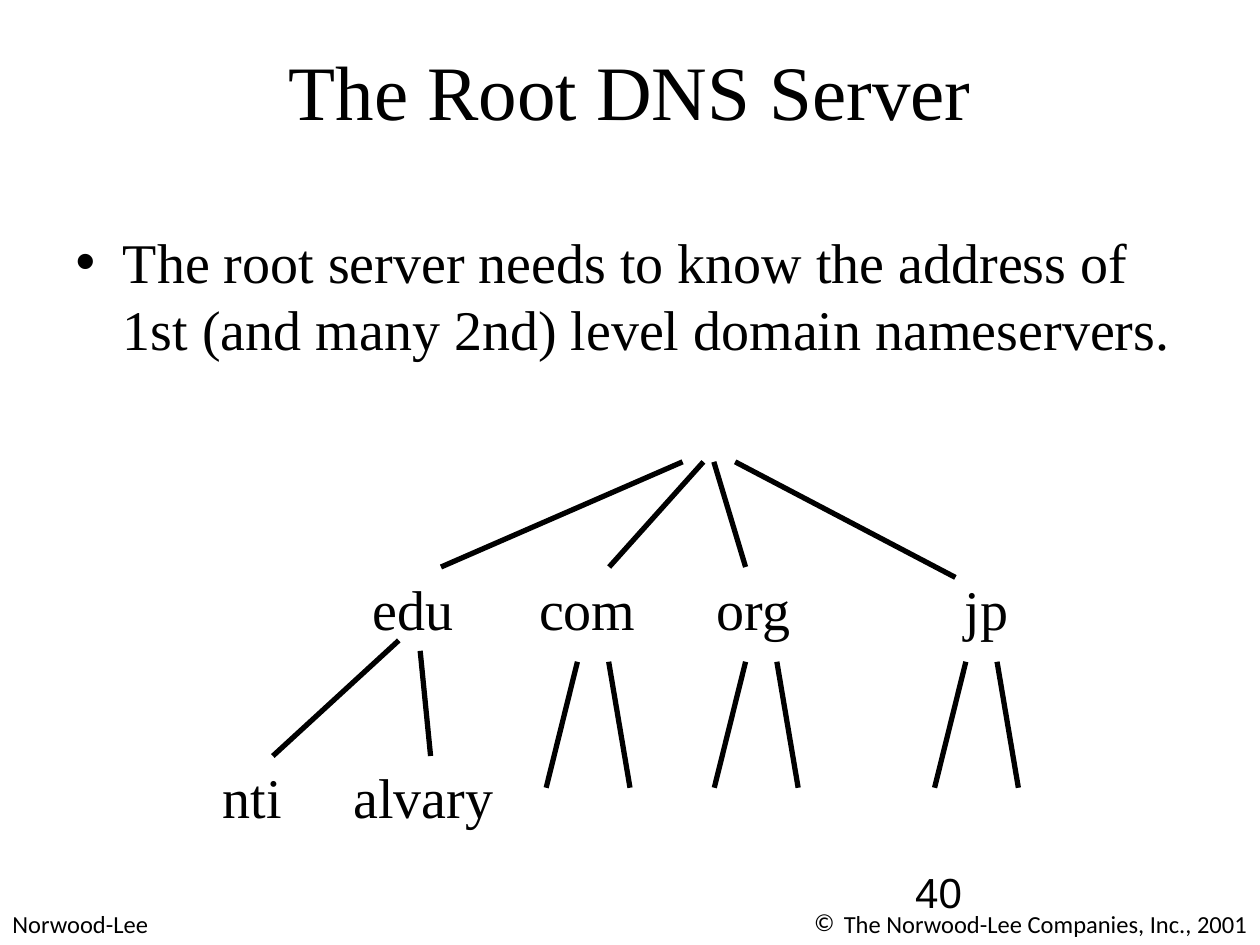
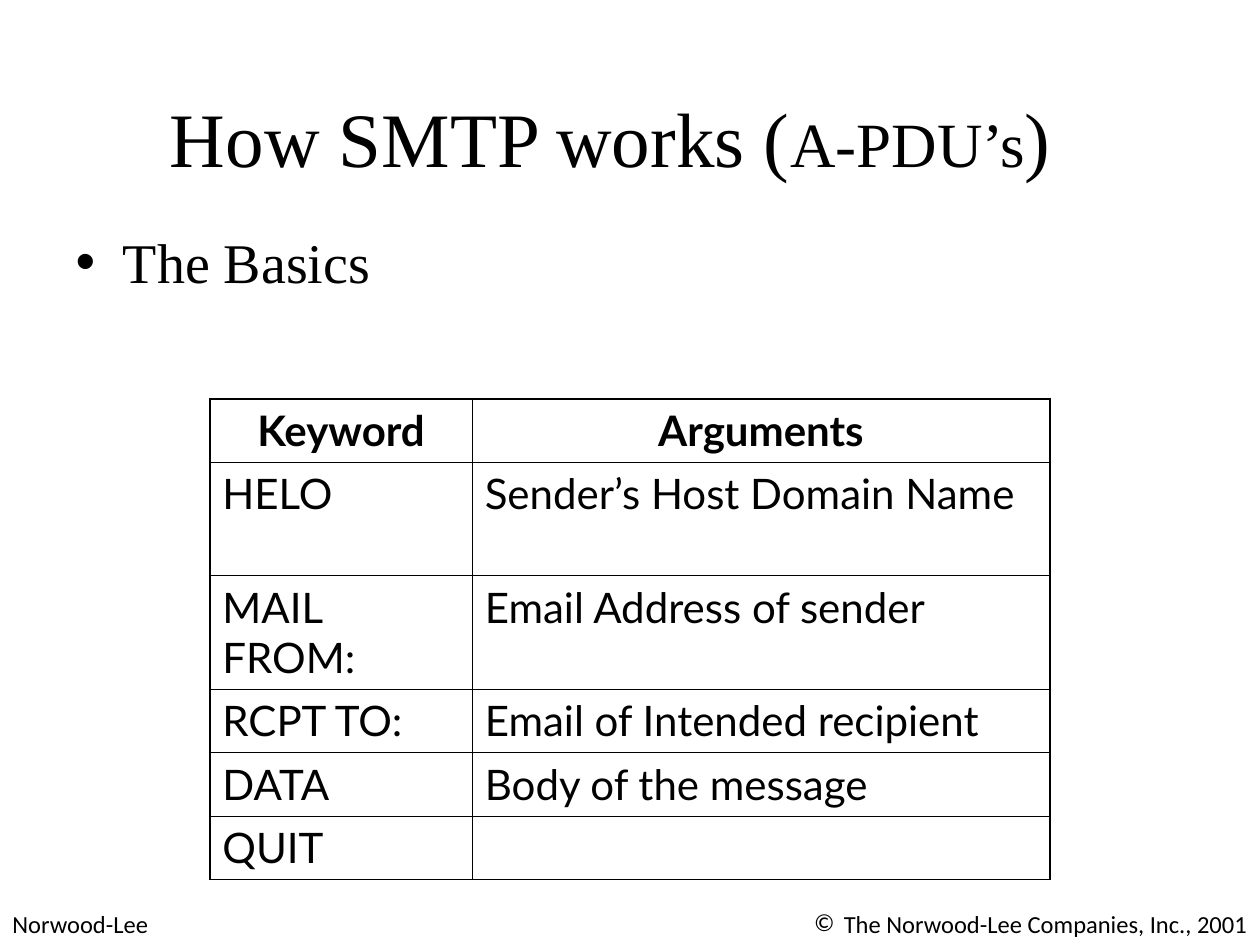
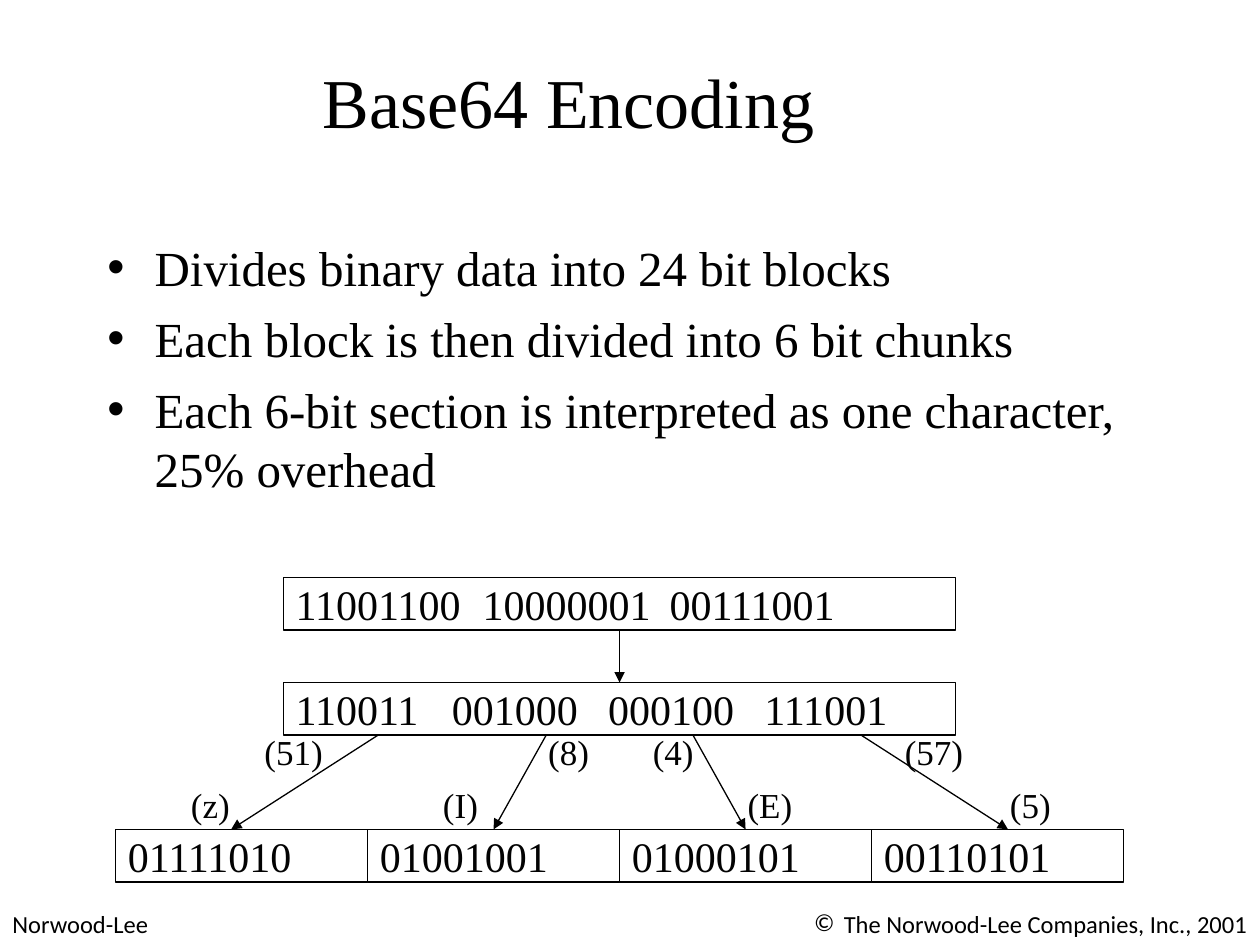
import pptx
import pptx.dml.color
import pptx.enum.shapes
import pptx.enum.text
import pptx.oxml.ns
import pptx.util
from lxml import etree

Cm = pptx.util.Cm
Pt = pptx.util.Pt
qn = pptx.oxml.ns.qn
ALIGN = pptx.enum.text.PP_ALIGN
ANCHOR = pptx.enum.text.MSO_ANCHOR
FIT = pptx.enum.text.MSO_AUTO_SIZE

# Shared style
BLACK = pptx.dml.color.RGBColor(0x00, 0x00, 0x00)
INK = pptx.dml.color.RGBColor(0x02, 0x02, 0x02)
SERIF, FOOTER_FONT, TABLE_FONT, NUMBER_FONT = "Times New Roman", "Calibri", "Lato", "Arial"
TITLE_SIZE = 44
THIN, OUTER = 0.45, 1.08


# Text
def add_run(paragraph, text, size, font=SERIF, color=BLACK, bold=False):
    run = paragraph.add_run()
    run.text = text
    run.font.size = Pt(size)
    run.font.name = font
    run.font.color.rgb = color
    run.font.bold = bold


def add_label(slide, text, left, top, width, height, size, font=SERIF, color=BLACK, wrap=False):
    label = slide.shapes.add_textbox(Cm(left), Cm(top), Cm(width), Cm(height))
    frame = label.text_frame
    frame.word_wrap = wrap
    frame.auto_size = FIT.SHAPE_TO_FIT_TEXT if wrap else FIT.NONE
    add_run(frame.paragraphs[0], text, size, font, color)
    return label


def place(placeholder, left, top, width, height):
    placeholder.left, placeholder.top = Cm(left), Cm(top)
    placeholder.width, placeholder.height = Cm(width), Cm(height)
    frame = placeholder.text_frame
    frame.auto_size = FIT.NONE
    frame.vertical_anchor = ANCHOR.TOP
    return frame


def set_title(slide, runs, box):
    heading = place(slide.shapes.title, *box).paragraphs[0]
    heading.alignment = ALIGN.CENTER
    for text, size in runs:
        add_run(heading, text, size)


def set_bullets(slide, points, size, box=(1.27, 4.45, 22.86, 12.57)):
    frame = place(slide.placeholders[1], *box)
    for index, point in enumerate(points):
        paragraph = frame.add_paragraph() if index else frame.paragraphs[0]
        paragraph.space_before = Pt(size / 4)
        add_run(paragraph, point, size)


# Lines and boxes
def add_line(slide, start, end, weight, arrow=False):
    line = slide.shapes.add_connector(
        pptx.enum.shapes.MSO_CONNECTOR.STRAIGHT, *(Cm(value) for value in start + end))
    line.line.color.rgb = BLACK
    line.line.width = Pt(weight)
    properties = line.element.spPr
    if arrow:
        etree.SubElement(properties.find(qn("a:ln")), qn("a:tailEnd"), type="triangle")
    etree.SubElement(properties, qn("a:effectLst"))


def add_bit_box(slide, groups, left, top, width, tab_step=0):
    box = slide.shapes.add_shape(
        pptx.enum.shapes.MSO_SHAPE.RECTANGLE, Cm(left), Cm(top), Cm(width), Cm(1.06))
    box.shadow.inherit = False
    box.fill.background()
    box.line.color.rgb = BLACK
    box.line.width = Pt(0.75)
    box.text_frame.vertical_anchor = ANCHOR.MIDDLE
    bits = box.text_frame.paragraphs[0]
    bits.alignment = ALIGN.LEFT
    if len(groups) > 1:
        stops = etree.SubElement(bits._p.get_or_add_pPr(), qn("a:tabLst"))
        for index in range(1, len(groups)):
            etree.SubElement(stops, qn("a:tab"), pos=str(Cm(index * tab_step)), algn="l")
    add_run(bits, "\t".join(groups), 24, color=INK)


# Table
def set_borders(cell, weights):
    properties = cell._tc.get_or_add_tcPr()
    for side, weight in zip("LRTB", weights):
        edge = etree.SubElement(properties, qn("a:ln" + side), w=str(Pt(weight)))
        fill = etree.SubElement(edge, qn("a:solidFill"))
        etree.SubElement(fill, qn("a:srgbClr"), val=str(BLACK))


def add_command_table(slide, rows, widths, heights, left, top):
    table = slide.shapes.add_table(
        len(rows), len(widths), Cm(left), Cm(top), Cm(sum(widths)), Cm(sum(heights))).table
    table.first_row = table.horz_banding = False
    for column, width in zip(table.columns, widths):
        column.width = Cm(width)
    last_row, last_column = len(rows) - 1, len(widths) - 1
    for r, (texts, height) in enumerate(zip(rows, heights)):
        table.rows[r].height = Cm(height)
        for c, text in enumerate(texts):
            cell = table.cell(r, c)
            on_edge = (c == 0, c == last_column, r == 0, r == last_row)
            set_borders(cell, [OUTER if edge else THIN for edge in on_edge])
            cell.fill.background()
            if text:
                paragraph = cell.text_frame.paragraphs[0]
                paragraph.space_before = Pt(6)
                paragraph.alignment = ALIGN.CENTER if r == 0 else ALIGN.LEFT
                add_run(paragraph, text, 24, TABLE_FONT, bold=r == 0)


# Footers, kept on the master
def add_footers(prs, slide):
    publisher = add_label(slide, "Norwood-Lee", 0, 18.2, 6.15, 0.86, 14, FOOTER_FONT, wrap=True)
    rights = add_label(slide, "The Norwood-Lee Companies, Inc., 2001",
                       12.7, 18.2, 12.7, 0.86, 14, FOOTER_FONT, wrap=True)
    notice = rights.text_frame.paragraphs[0]
    notice.alignment = ALIGN.RIGHT
    bullet = notice._p.get_or_add_pPr()
    etree.SubElement(bullet, qn("a:buFont"), typeface=FOOTER_FONT)
    etree.SubElement(bullet, qn("a:buChar"), char="©")
    for footer in (publisher, rights):
        prs.slide_master.shapes.element.append(footer.element)


# Slides
def build_root_server(slide):
    add_label(slide, "40", 18.2, 17.35, 5.29, 1.27, 24, NUMBER_FONT, wrap=True)
    set_title(slide, [("The Root DNS Server", TITLE_SIZE)], (1.27, 0.76, 22.86, 3.18))
    set_bullets(slide, ["The root server needs to know the address of "
                        "1st (and many 2nd) level domain nameservers."], 32)

    domains = [("edu", 7.27, 11.46, 2.4), ("com", 10.62, 11.46, 2.7),
               ("org", 14.2, 11.46, 2.3), ("jp", 19.2, 11.46, 1.7),
               ("nti", 4.24, 15.25, 2), ("alvary", 6.88, 15.25, 3.7)]
    for name, left, top, width in domains:
        add_label(slide, name, left, top, width, 1.6, 32)

    branches = [((13.76, 9.31), (8.89, 11.43)), ((14.18, 9.31), (12.28, 11.43)),
                ((14.39, 9.31), (15.03, 11.43)), ((14.82, 9.31), (19.26, 11.64)),
                ((8.04, 12.91), (5.5, 15.24)), ((8.47, 13.12), (8.68, 15.24))]
    for x in (11.64, 15.03, 19.47):  # unnamed children of com, org and jp
        branches += [((x, 13.34), (x - 0.63, 15.88)),
                     ((x + 0.63, 13.34), (x + 1.06, 15.88))]
    for start, end in branches:
        add_line(slide, start, end, 3)


def build_smtp(slide):
    set_title(slide, [("How SMTP works (", TITLE_SIZE), ("A-PDU’s", 36), (")", TITLE_SIZE)],
              (1.48, 1.69, 21.64, 2.12))
    set_bullets(slide, ["The Basics"], 32)
    commands = [("Keyword", "Arguments"),
                ("HELO", "Sender’s Host Domain Name"),
                ("MAIL FROM:", "Email Address of sender"),
                ("RCPT TO:", "Email of Intended recipient"),
                ("DATA", "Body of the message"),
                ("QUIT", "")]
    add_command_table(slide, commands, (5.29, 11.64),
                      (1.27, 2.29, 2.29, 1.28, 1.28, 1.28), 4.23, 8.04)


def build_base64(slide):
    set_title(slide, [("Base64 Encoding", 40)], (0.64, 1.06, 21.64, 2.12))
    set_bullets(slide, ["Divides binary data into 24 bit blocks",
                        "Each block is then divided into 6 bit chunks",
                        "Each 6-bit section is interpreted as one character, 25% overhead"],
                28, (1.91, 4.66, 21.59, 5.5))

    # Block, chunks and encoded bytes
    add_bit_box(slide, ["11001100", "10000001", "00111001"], 5.71, 11.64, 13.55, 3.77)
    add_bit_box(slide, ["110011", "001000", "000100", "111001"], 5.71, 13.76, 13.55, 3.15)
    for index, byte in enumerate(["01111010", "01001001", "01000101", "00110101"]):
        add_bit_box(slide, [byte], 2.33 + index * 5.08, 16.72, 5.08)

    add_line(slide, (12.49, 12.7), (12.49, 13.76), 0.75, arrow=True)
    for chunk_x, byte_x in [(7.62, 4.66), (11.01, 9.95), (13.97, 15.03), (17.36, 20.32)]:
        add_line(slide, (chunk_x, 14.82), (byte_x, 16.72), 0.75, arrow=True)

    # Chunk values above their characters
    values = [("(51)", 5.08, 1.9), ("(8)", 10.8, 1.6), ("(4)", 12.91, 1.6), ("(57)", 17.99, 1.9)]
    characters = [("(z)", 3.6, 1.6), ("(I)", 8.68, 1.5), ("(E)", 14.82, 1.7), ("(5)", 20.11, 1.6)]
    for top, labels in ((14.61, values), (15.66, characters)):
        for text, left, width in labels:
            add_label(slide, text, left, top, width, 1.12, 20, color=INK)


def main():
    prs = pptx.Presentation()
    prs.slide_width, prs.slide_height = Cm(25.4), Cm(19.05)
    title_and_content = prs.slide_layouts[1]
    builders = (build_root_server, build_smtp, build_base64)
    slides = [prs.slides.add_slide(title_and_content) for _ in builders]
    add_footers(prs, slides[0])
    for build, slide in zip(builders, slides):
        build(slide)
    prs.save("out.pptx")


if __name__ == "__main__":
    main()
